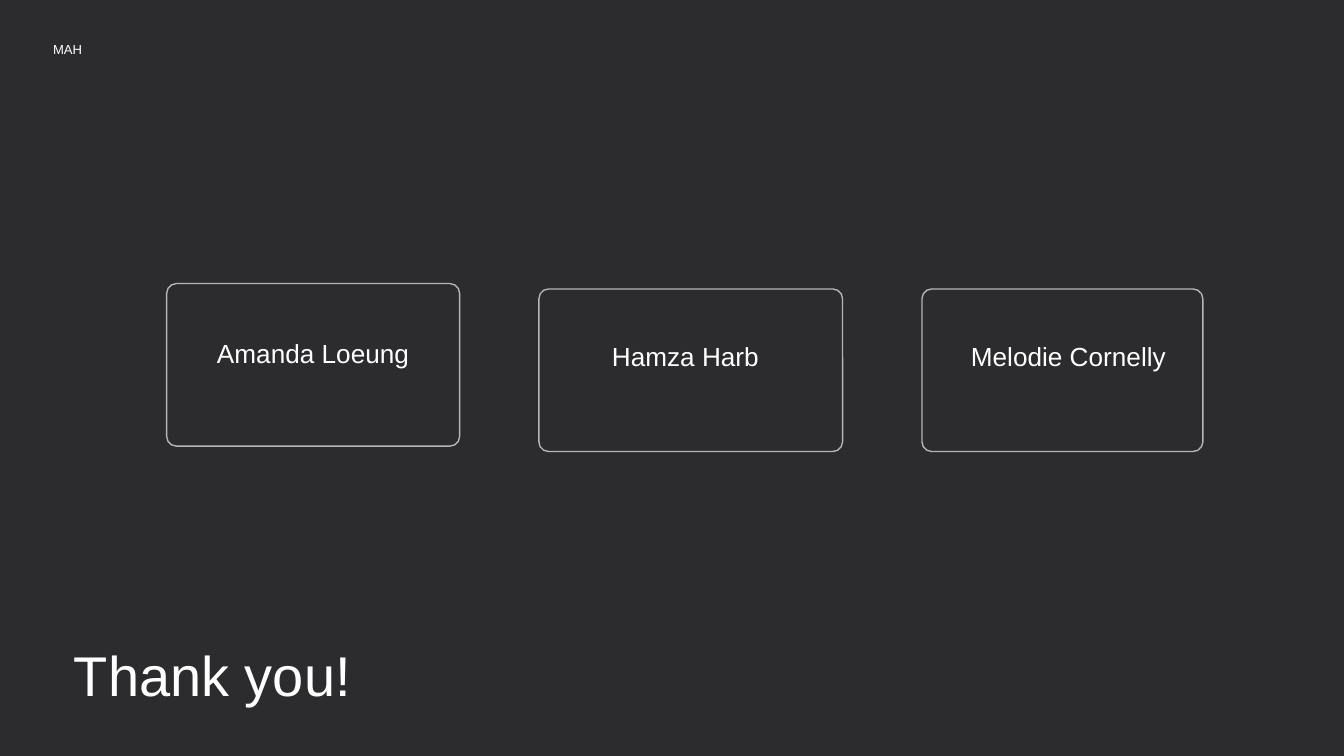
from pptx import Presentation, util as u
from pptx.dml.color import RGBColor
from pptx.enum import shapes, text

COLORS = {"background": "2C2C2E", "outline": "B5B5B7", "text": "FFFFFF"}
COLUMNS, ROWS = 100, 56.25
CARD_HEIGHT = 12.1
PAD = (0.15, 0.1)


class Deck:
    font = "Arial"

    def __init__(self):
        self.prs = Presentation()
        self.prs.slide_width = u.Inches(10)
        self.prs.slide_height = self.prs.slide_width * 9 // 16
        self.s = self.prs.slides.add_slide(self.prs.slide_layouts[6])
        fill = self.s.background.fill
        fill.solid()
        fill.fore_color.rgb = self.color("background")

    def color(self, name):
        return RGBColor.from_string(COLORS[name])

    def place(self, left, top, width, height):
        column = self.prs.slide_width / COLUMNS
        row = self.prs.slide_height / ROWS
        return [round(n) for n in (left * column, top * row, width * column, height * row)]

    def card(self, *box):
        sp = self.s.shapes.add_shape(shapes.MSO_SHAPE.ROUNDED_RECTANGLE, *self.place(*box))
        sp.adjustments[0] = 0.06
        sp.shadow.inherit = False
        sp.fill.background()
        sp.line.color.rgb = self.color("outline")
        sp.line.width = u.Pt(0.75)

    def label(self, words, size, *box, align="LEFT", anchor="TOP", pad=PAD, spacing=1.0):
        tf = self.s.shapes.add_textbox(*self.place(*box)).text_frame
        tf.word_wrap = True
        tf.vertical_anchor = text.MSO_ANCHOR[anchor]
        tf.margin_left = tf.margin_right = u.Inches(pad[0])
        tf.margin_top = tf.margin_bottom = u.Inches(pad[1])
        p = tf.paragraphs[0]
        p.alignment = text.PP_ALIGN[align]
        p.line_spacing = spacing
        r = p.add_run()
        r.text = words
        r.font.name = self.font
        r.font.size = u.Pt(size)
        r.font.color.rgb = self.color("text")


def main():
    deck = Deck()
    members = [
        ("Amanda Loeung", 12.4, 21.1, 21.8, 12.4, 24.1, 21.8, 6.1),
        ("Hamza Harb", 40.1, 21.5, 22.6, 40.1, 24.3, 21.8, 8.7),
        ("Melodie Cornelly", 68.6, 21.5, 20.9, 69.6, 24.3, 19.8, 10.9),
    ]
    for name, left, top, width, *name_box in members:
        deck.card(left, top, width, CARD_HEIGHT)
        deck.label(name, 14, *name_box, align="CENTER")
    deck.label("MAH", 7, 3.95, 2.25, 45.5, 2.6, anchor="MIDDLE", pad=(0, 0), spacing=1.15)
    deck.label("Thank you!", 30, 4, 42.75, 40, 10.9, anchor="BOTTOM")
    deck.prs.save("out.pptx")


if __name__ == "__main__":
    main()
